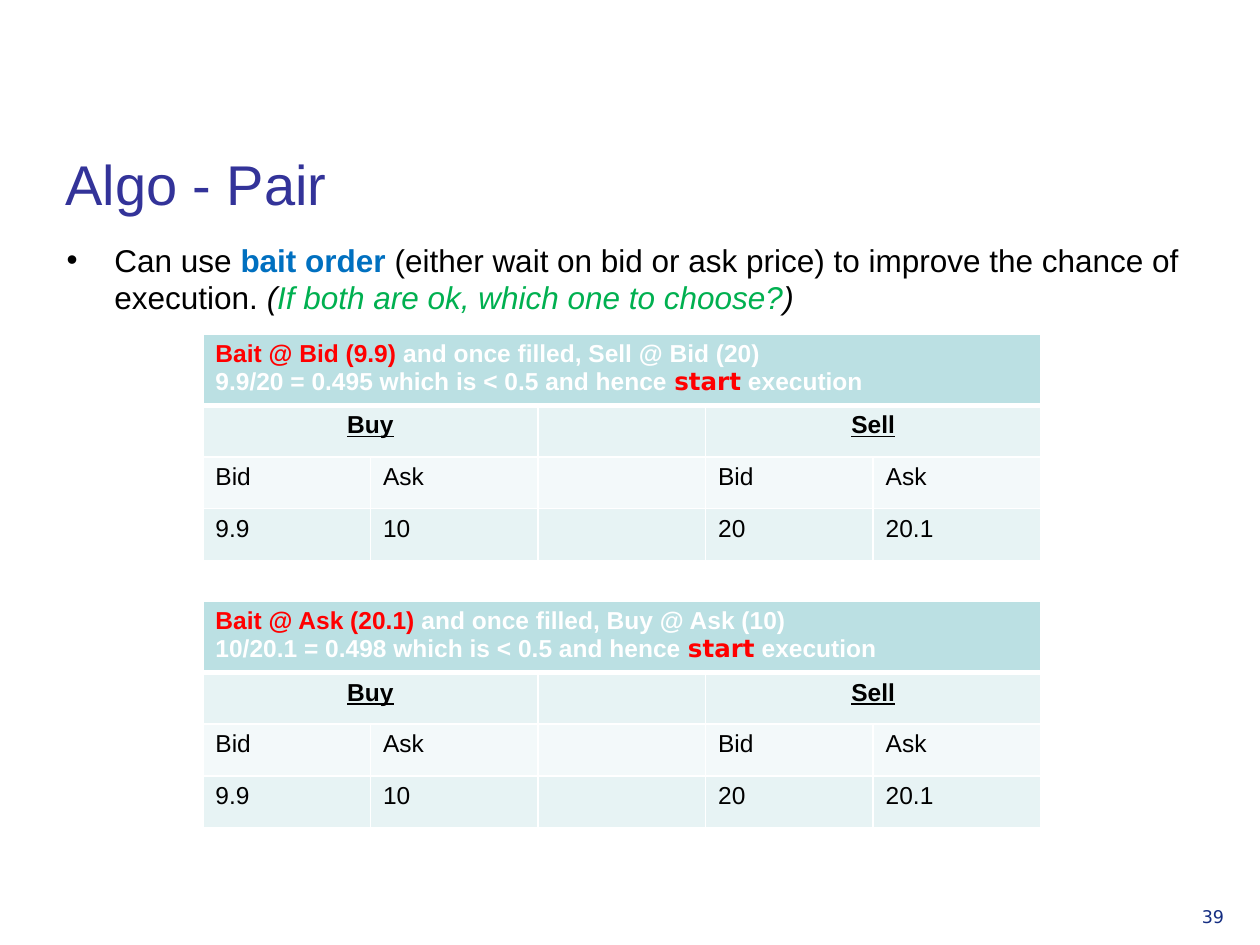
from lxml import etree
from pptx import Presentation
from pptx import util as u
from pptx.dml.color import RGBColor
from pptx.enum import text
from pptx.oxml import ns

BLACK, WHITE, RED = "000000", "FFFFFF", "FF0000"
BLUE, GREEN = "0070C0", "00B050"
HEADER, BAND_DARK, BAND_LIGHT = "BBE0E3", "E7F3F4", "F3F9FA"
SANS, MONO_LOOK = "Arial", "DejaVu Sans"


def rgb(value):
    return RGBColor.from_string(value)


def sub(parent, tag, **attrs):
    return etree.SubElement(parent, ns.qn(tag), **attrs)


class Deck:
    def __init__(self, prs):
        self.s = prs.slides.add_slide(prs.slide_layouts[6])

    def runs(self, p, parts, size, font=SANS):
        """Fill a paragraph from (text, colour, options) parts."""
        p.font.size = u.Pt(size)
        p.font.name = font
        for words, colour, opts in parts:
            r = p.add_run()
            r.text = words
            r.font.color.rgb = rgb(colour)
            r.font.size = u.Pt(size)
            r.font.name = font
            for name, value in opts.items():
                setattr(r.font, name, value)

    def text(self, box, parts, size, font=SANS, anchor=text.MSO_ANCHOR.TOP, bullet=False):
        tf = self.s.shapes.add_textbox(*map(u.Inches, box)).text_frame
        tf.word_wrap = True
        tf.vertical_anchor = anchor
        p = tf.paragraphs[0]
        if bullet:
            pPr = p._p.get_or_add_pPr()
            pPr.set("marL", str(u.Inches(0.38)))
            pPr.set("indent", str(-u.Inches(0.38)))
            sub(pPr, "a:buFont", typeface=SANS)
            sub(pPr, "a:buChar", char="•")
        self.runs(p, parts, size, font)

    def style_cell(self, cell, fill, bottom=1):
        cell.fill.solid()
        cell.fill.fore_color.rgb = rgb(fill)
        tcPr = cell._tc.get_or_add_tcPr()
        for i, (side, width) in enumerate(zip("LRTB", (1, 1, 1, bottom))):
            ln = etree.Element(ns.qn(f"a:ln{side}"), w=str(u.Pt(width)))
            sub(sub(ln, "a:solidFill"), "a:srgbClr", val=WHITE)
            tcPr.insert(i, ln)

    def quote_table(self, top, header):
        """Draw a buy/sell price table under a two-line header."""
        rows = [["Buy", "", "", "Sell", ""],
                ["Bid", "Ask", "", "Bid", "Ask"],
                ["9.9", "10", "", "20", "20.1"]]
        box = map(u.Inches, (1.61, top, 6.67, 1.78))
        table = self.s.shapes.add_table(4, 5, *box).table
        for column in table.columns:
            column.width = u.Inches(1.33)
        for row, height in zip(table.rows, (0.54, 0.41, 0.41, 0.41)):
            row.height = u.Inches(height)

        for c in range(5):
            self.style_cell(table.cell(0, c), HEADER, bottom=3)
        for i, values in enumerate(rows, 1):
            for c, value in enumerate(values):
                cell = table.cell(i, c)
                self.style_cell(cell, BAND_DARK if i % 2 else BAND_LIGHT)
                p = cell.text_frame.paragraphs[0]
                title = i == 1
                opts = {"bold": title, "underline": title}
                self.runs(p, [(value, BLACK, opts)] if value else [], 14)
                if title:
                    p.alignment = text.PP_ALIGN.CENTER

        table.cell(0, 0).merge(table.cell(0, 4))
        for c in (0, 3):
            table.cell(1, c).merge(table.cell(1, c + 1))
        tf = table.cell(0, 0).text_frame
        self.runs(tf.paragraphs[0], header[0], 14)
        self.runs(tf.add_paragraph(), header[1], 14)


def bait_header(bait, then, ratio):
    bold = {"bold": True}
    return ([(bait, RED, bold), (then, WHITE, bold)],
            [(f"{ratio} which is < 0.5 and hence ", WHITE, bold),
             ("start", RED, {"bold": True, "name": MONO_LOOK}),
             (" execution", WHITE, bold)])


def main():
    prs = Presentation()
    prs.slide_width, prs.slide_height = u.Inches(10), u.Inches(7.5)
    deck = Deck(prs)
    deck.text((0.42, 0.68, 8.83, 1.09), [("Algo - Pair", "333399", {})], 32,
              anchor=text.MSO_ANCHOR.BOTTOM)
    italic = {"italic": True}
    deck.text((0.43, 1.86, 9.45, 5.12), [
        ("Can use ", BLACK, {}),
        ("bait order ", BLUE, {"bold": True}),
        ("(either wait on bid or ask price) to improve the chance of execution. ", BLACK, {}),
        ("(", BLACK, italic),
        ("If both are ok, which one to choose?", GREEN, italic),
        (")", BLACK, italic),
    ], 18, bullet=True)
    deck.text((9.44, 7.14, 0.55, 0.39), [("39", "152E82", {})], 10, MONO_LOOK)
    deck.quote_table(2.65, bait_header(
        "Bait @ Bid (9.9) ", "and once filled, Sell @ Bid (20)", "9.9/20 = 0.495"))
    deck.quote_table(4.77, bait_header(
        "Bait @ Ask (20.1) ", "and once filled, Buy @ Ask (10)", "10/20.1 = 0.498"))
    prs.save("out.pptx")


if __name__ == "__main__":
    main()
